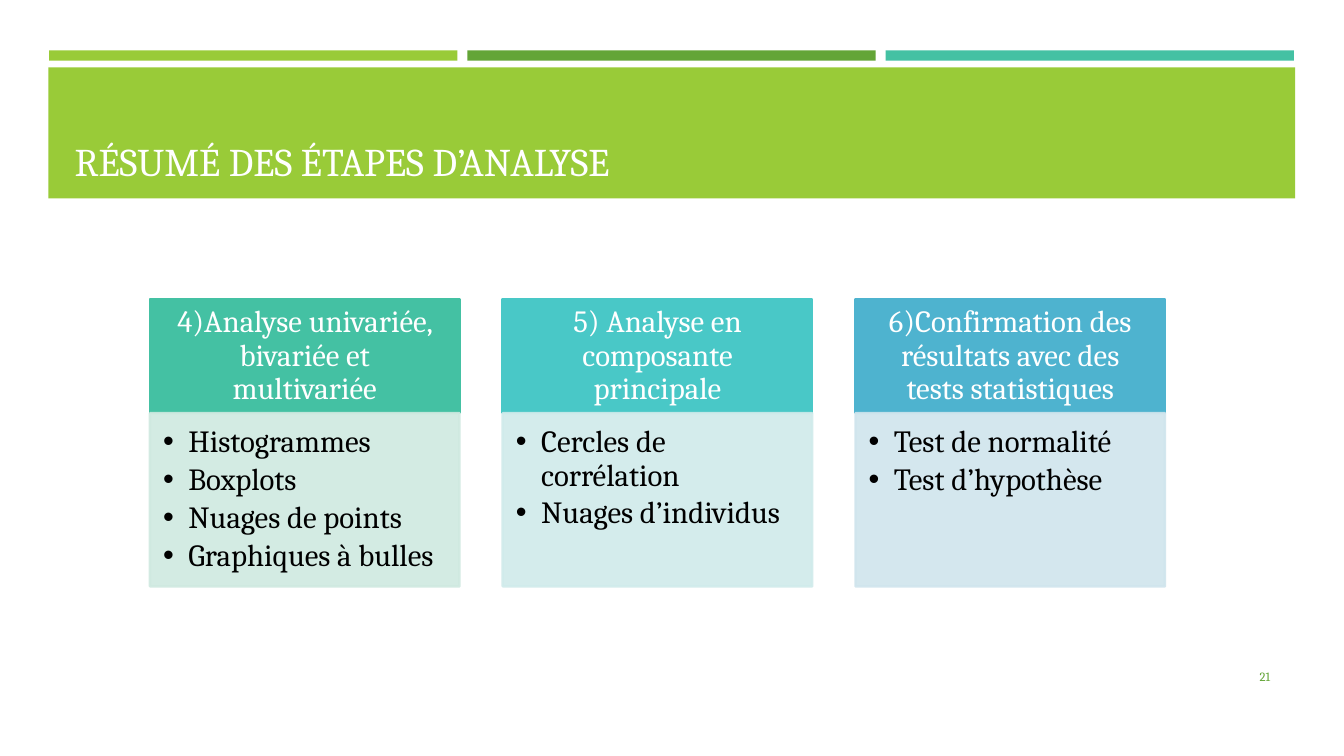
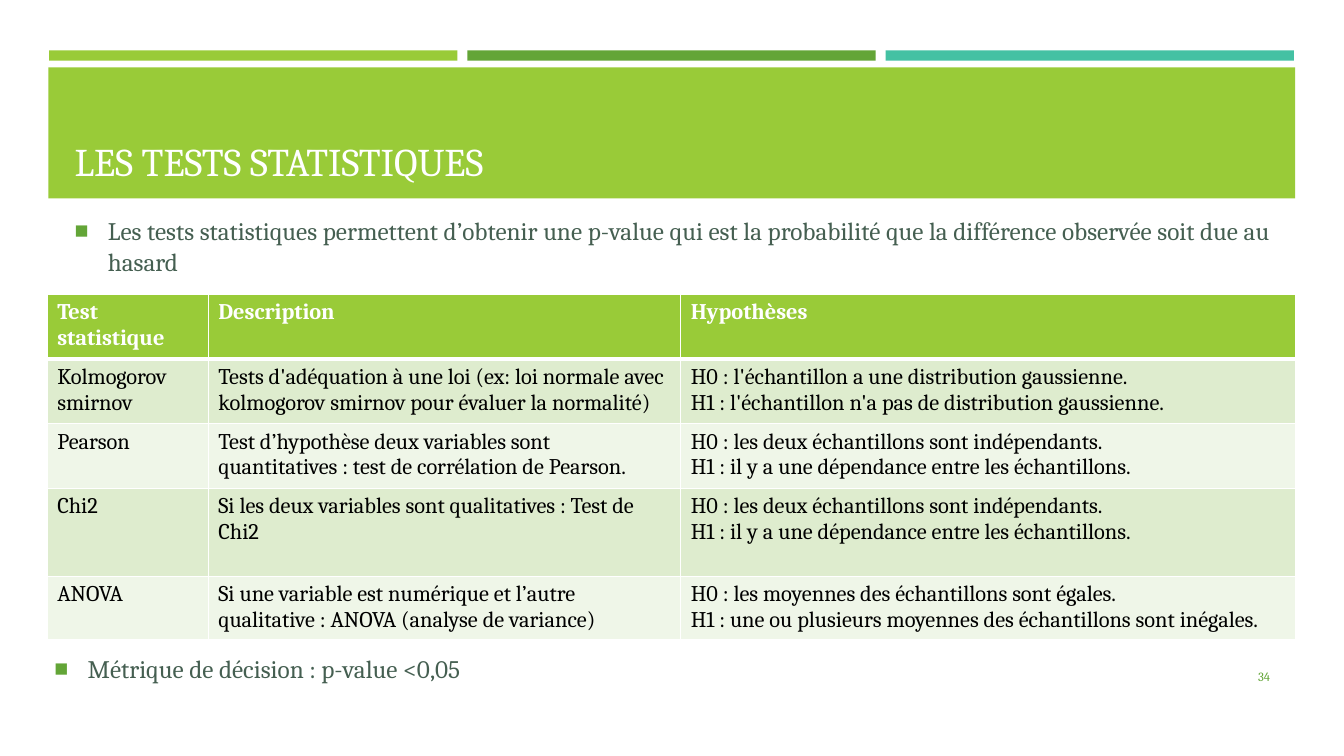
from dataclasses import dataclass, replace
from typing import Optional

from lxml import etree
from pptx import Presentation
from pptx import util as u
from pptx.dml import color
from pptx.enum import shapes, text
from pptx.oxml import ns

LIME = color.RGBColor(0x99, 0xCB, 0x38)
GREEN = color.RGBColor(0x63, 0xA5, 0x37)
TEAL = color.RGBColor(0x44, 0xC1, 0xA3)
TURQUOISE = color.RGBColor(0x49, 0xC8, 0xC7)
BLUE = color.RGBColor(0x4E, 0xB3, 0xCF)
PALE_TEAL = color.RGBColor(0xCF, 0xE9, 0xE0)
PALE_TURQUOISE = color.RGBColor(0xD0, 0xEB, 0xEB)
PALE_BLUE = color.RGBColor(0xD0, 0xE5, 0xED)
SLATE = color.RGBColor(0x45, 0x5F, 0x51)
ROW_DARK = color.RGBColor(0xDE, 0xEC, 0xCE)
ROW_LIGHT = color.RGBColor(0xEF, 0xF6, 0xE8)
WHITE = color.RGBColor(0xFF, 0xFF, 0xFF)
BLACK = color.RGBColor(0, 0, 0)
FONT = "Cambria"
ALIGN = text.PP_ALIGN
ANCHOR = text.MSO_ANCHOR


@dataclass(frozen=True)
class Area:
    left: float
    top: float
    width: float
    height: float

    def lengths(self) -> tuple:
        return tuple(u.Cm(v) for v in (self.left, self.top, self.width, self.height))


@dataclass(frozen=True)
class Bullet:
    char: str
    indent: float
    tint: color.RGBColor
    percent: int = 100


@dataclass(frozen=True)
class Style:
    size: float
    tint: color.RGBColor
    bold: bool = False
    align: text.PP_ALIGN = ALIGN.LEFT
    anchor: text.MSO_ANCHOR = ANCHOR.TOP
    insets: tuple = (0.25, 0.13, 0.25, 0.13)
    line: float = 1.0
    before: float = 0
    after: float = 0
    bullet: Optional[Bullet] = None


@dataclass(frozen=True)
class Card:
    heading: str
    items: tuple
    strong: color.RGBColor
    pale: color.RGBColor


TITLE = Style(28, WHITE, anchor=ANCHOR.BOTTOM)
NUMBER = Style(9, GREEN, align=ALIGN.RIGHT, anchor=ANCHOR.MIDDLE)
CARD_HEAD = Style(22, WHITE, align=ALIGN.CENTER, anchor=ANCHOR.MIDDLE,
                  insets=(0.43, 0.25, 0.43, 0.25), line=0.9)
CARD_LIST = Style(22, BLACK, insets=(0.33, 0.33, 0.43, 0.48), line=0.9, after=3.3,
                  bullet=Bullet("•", 0.64, BLACK))
POINT = Style(18, SLATE, align=ALIGN.JUSTIFY, before=3.6, after=6,
              bullet=Bullet("■", 0.84, GREEN, 92))
CELL = Style(16, BLACK)
HEADER_CELL = Style(16, WHITE, bold=True)

CARDS = (
    Card("4)Analyse univariée, bivariée et multivariée",
         ("Histogrammes", "Boxplots", "Nuages de points", "Graphiques à bulles"),
         TEAL, PALE_TEAL),
    Card("5) Analyse en composante principale",
         ("Cercles de corrélation", "Nuages d’individus"),
         TURQUOISE, PALE_TURQUOISE),
    Card("6)Confirmation des résultats avec des tests statistiques",
         ("Test de normalité", "Test d’hypothèse"),
         BLUE, PALE_BLUE),
)
INDEPENDENCE = ("H0 : les deux échantillons sont indépendants.",
                "H1 : il y a une dépendance entre les échantillons.")
TESTS = (
    (("Test statistique",), ("Description",), ("Hypothèses",)),
    (("Kolmogorov smirnov",),
     ("Tests d'adéquation à une loi (ex: loi normale avec kolmogorov smirnov "
      "pour évaluer la normalité)",),
     ("H0 : l'échantillon a une distribution gaussienne.",
      "H1 : l'échantillon n'a pas de distribution gaussienne.")),
    (("Pearson",),
     ("Test d’hypothèse deux variables sont quantitatives : "
      "test de corrélation de Pearson.",),
     INDEPENDENCE),
    (("Chi2",),
     ("Si les deux variables sont qualitatives : Test de Chi2",),
     INDEPENDENCE),
    (("ANOVA",),
     ("Si une variable est numérique et l’autre qualitative : "
      "ANOVA (analyse de variance)",),
     ("H0 : les moyennes des échantillons sont égales.",
      "H1 : une ou plusieurs moyennes des échantillons sont inégales.")),
)
COLUMN_WIDTHS = (4.06, 11.91, 15.49)
ROW_HEIGHTS = (1.63, 1.63, 1.63, 2.21, 1.55)


def add_node(parent, tag: str, **attributes: str):
    return etree.SubElement(parent, ns.qn(tag), attributes)


def add_bullet(para, bullet: Bullet) -> None:
    props = para._p.get_or_add_pPr()
    indent = u.Cm(bullet.indent)
    props.set("marL", str(indent))
    props.set("indent", str(-indent))
    add_node(add_node(props, "a:buClr"), "a:srgbClr", val=str(bullet.tint))
    add_node(props, "a:buSzPct", val=str(bullet.percent * 1000))
    add_node(props, "a:buFont", typeface="Arial")
    add_node(props, "a:buChar", char=bullet.char)


def write(frame, lines: tuple, style: Style) -> None:
    for index, line in enumerate(lines):
        para = frame.add_paragraph() if index else frame.paragraphs[0]
        para.alignment = style.align
        para.line_spacing = style.line
        para.space_before = u.Pt(style.before)
        para.space_after = u.Pt(style.after)
        if style.bullet:
            add_bullet(para, style.bullet)
        span = para.add_run()
        span.text = line
        span.font.name = FONT
        span.font.size = u.Pt(style.size)
        span.font.bold = style.bold
        span.font.color.rgb = style.tint


def fill_frame(frame, lines: tuple, style: Style) -> None:
    frame.word_wrap = True
    frame.vertical_anchor = style.anchor
    (frame.margin_left, frame.margin_top,
     frame.margin_right, frame.margin_bottom) = map(u.Cm, style.insets)
    write(frame, lines, style)


def add_text(page, area: Area, lines: tuple, style: Style) -> None:
    box = page.shapes.add_textbox(*area.lengths())
    fill_frame(box.text_frame, lines, style)


def add_block(page, area: Area, tint: color.RGBColor, outlined: bool = False):
    block = page.shapes.add_shape(shapes.MSO_SHAPE.RECTANGLE, *area.lengths())
    block.shadow.inherit = False
    block.fill.solid()
    block.fill.fore_color.rgb = tint
    if outlined:
        block.line.color.rgb = tint
        block.line.width = u.Pt(1.75)
    else:
        block.line.fill.background()
    return block


def add_page(deck, title: str, number: int):
    page = deck.slides.add_slide(deck.slide_layouts[6])
    for index, tint in enumerate((LIME, GREEN, TEAL)):
        add_block(page, Area(1.24 + index * 10.54, 1.27, 10.29, 0.26), tint)
    add_block(page, Area(1.22, 1.7, 31.42, 3.3), LIME)
    add_text(page, Area(1.63, 1.96, 30.63, 2.82), (title,), TITLE)
    add_text(page, Area(29.34, 16.54, 2.92, 1.02), (str(number),), NUMBER)
    return page


def add_card(page, card: Card, left: float) -> None:
    area = Area(left, 7.54, 7.8, 2.87)
    head = add_block(page, area, card.strong, outlined=True)
    fill_frame(head.text_frame, (card.heading,), CARD_HEAD)
    body = add_block(page, replace(area, top=10.41, height=4.37), card.pale, outlined=True)
    for node in list(body.element.spPr.iter(ns.qn("a:srgbClr"))):
        add_node(node, "a:alpha", val="90000")
    fill_frame(body.text_frame, card.items, CARD_LIST)


def add_borders(cell, row: int) -> None:
    props = cell._tc.get_or_add_tcPr()
    widths = {"L": 1, "R": 1, "T": 3 if row == 1 else 1, "B": 3 if row == 0 else 1}
    for side, points in widths.items():
        line = add_node(props, f"a:ln{side}", w=str(u.Pt(points)))
        add_node(add_node(line, "a:solidFill"), "a:srgbClr", val=str(WHITE))


def add_tests(page) -> None:
    area = Area(1.19, 7.42, sum(COLUMN_WIDTHS), sum(ROW_HEIGHTS))
    table = page.shapes.add_table(len(TESTS), len(COLUMN_WIDTHS), *area.lengths()).table
    table.first_row = False
    table.horz_banding = False
    for column, width in zip(table.columns, COLUMN_WIDTHS):
        column.width = u.Cm(width)
    for row, height in zip(table.rows, ROW_HEIGHTS):
        row.height = u.Cm(height)
    for row, entries in enumerate(TESTS):
        tint = LIME if row == 0 else ROW_DARK if row % 2 else ROW_LIGHT
        for column, lines in enumerate(entries):
            cell = table.cell(row, column)
            add_borders(cell, row)
            cell.fill.solid()
            cell.fill.fore_color.rgb = tint
            write(cell.text_frame, lines, CELL if row else HEADER_CELL)


def main() -> None:
    deck = Presentation()
    deck.slide_width = u.Cm(33.87)
    deck.slide_height = u.Cm(19.05)

    steps = add_page(deck, "RÉSUMÉ DES ÉTAPES D’ANALYSE", 21)
    for index, card in enumerate(CARDS):
        add_card(steps, card, 3.78 + index * 8.89)

    tests = add_page(deck, "LES TESTS STATISTIQUES", 34)
    add_text(tests, Area(1.63, 5.23, 30.63, 1.93),
             ("Les tests statistiques permettent d’obtenir une p-value qui est la "
              "probabilité que la différence observée soit due au hasard",),
             replace(POINT, anchor=ANCHOR.MIDDLE))
    add_tests(tests)
    add_text(tests, Area(1.12, 16.33, 30.63, 1.9),
             ("Métrique de décision : p-value <0,05",), POINT)

    deck.save("out.pptx")


main()
